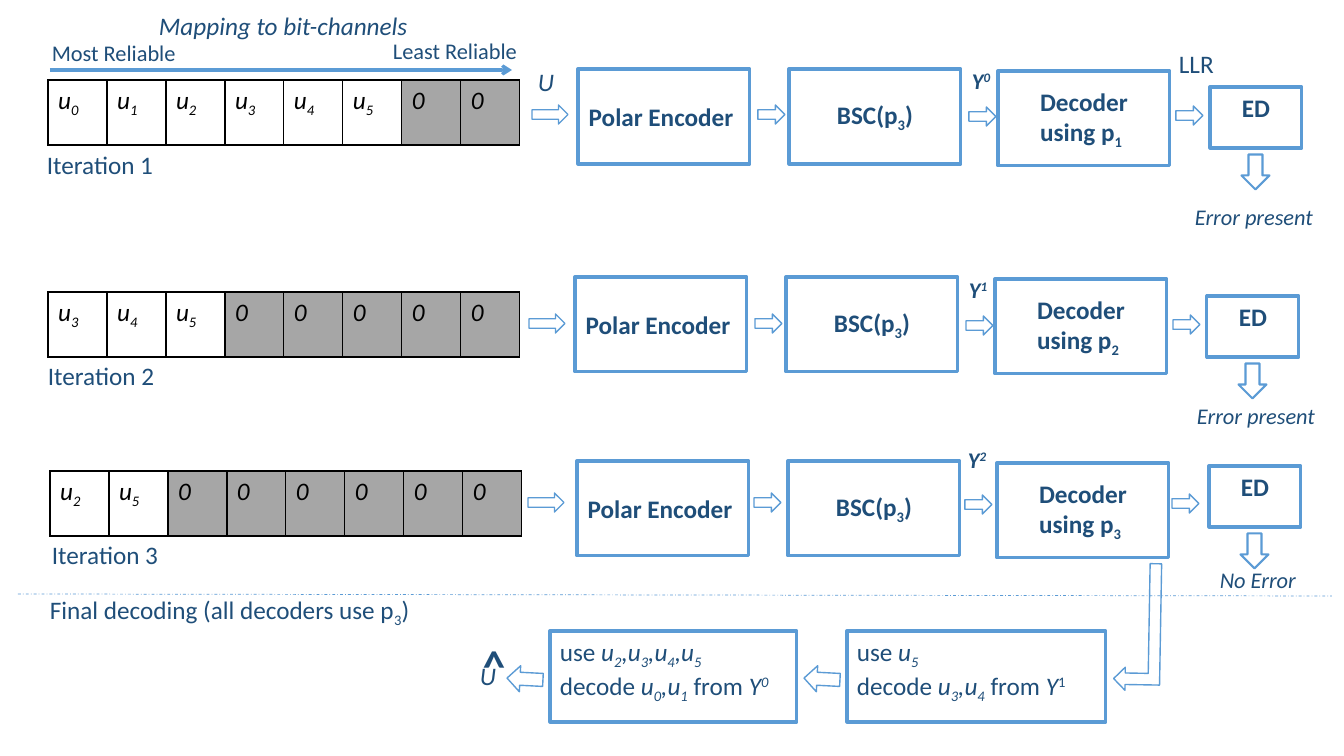
from lxml.etree import SubElement
from pptx import Presentation
from pptx.dml.color import RGBColor
from pptx.enum.dml import MSO_LINE_DASH_STYLE as DASH
from pptx.enum.shapes import MSO_CONNECTOR, MSO_SHAPE as SHAPE
from pptx.enum.text import MSO_ANCHOR as ANCHOR, PP_ALIGN as ALIGN
from pptx.oxml.ns import qn
from pptx.util import Pt

EMU_PER_PIXEL = 914400 / 100.8
COLORS = {"ink": "1F4E79", "line": "5B9BD5", "black": "000000", "white": "FFFFFF", "frozen": "A6A6A6"}
BASELINES = {"_": "-25000", "~": "30000"}


def px(length):
    """Turn pixels into EMU."""
    return round(length * EMU_PER_PIXEL)


def color(name):
    """Look up a colour by name."""
    return RGBColor.from_string(COLORS[name])


def split_runs(markup):
    """Group text by style: * toggles italic, _ lowers and ~ raises the next character."""
    runs, italic, baseline = [], False, None
    for character in markup:
        if character == "*":
            italic = not italic
        elif character in BASELINES:
            baseline = BASELINES[character]
        else:
            if runs and runs[-1][1:] == (italic, baseline):
                runs[-1] = (runs[-1][0] + character, italic, baseline)
            else:
                runs.append((character, italic, baseline))
            baseline = None
    return runs


class Diagram:
    """Draws the elements of the diagram on one slide."""

    def __init__(self, slide, font="Calibri"):
        self.slide, self.font = slide, font

    def set_text(self, frame, lines, size=18, ink="ink", bold=False, italic=False, align=ALIGN.LEFT):
        """Fill a text frame with lines of markup."""
        frame.word_wrap = True
        for index, line in enumerate(lines):
            paragraph = frame.add_paragraph() if index else frame.paragraphs[0]
            paragraph.alignment = align
            font = paragraph.font
            font.name, font.size, font.bold = self.font, Pt(size), bold
            font.color.rgb = color(ink)
            if "*" not in line:
                font.italic = italic
            for text, slanted, baseline in split_runs(line):
                run = paragraph.add_run()
                run.text = text
                if "*" in line:
                    run.font.italic = slanted
                if baseline:
                    run.font._element.set("baseline", baseline)

    def label(self, left, top, width, text, height=60, **style):
        """Add a text box."""
        box = self.slide.shapes.add_textbox(px(left), px(top), px(width), px(height))
        self.set_text(box.text_frame, [text], **style)

    def outline(self, kind, left, top, width, height, weight, rotation=0):
        """Add an unfilled preset shape."""
        shape = self.slide.shapes.add_shape(kind, px(left), px(top), px(width), px(height))
        shape.shadow.inherit = False
        shape.fill.background()
        shape.line.color.rgb = color("line")
        shape.line.width = Pt(weight)
        shape.rotation = rotation
        return shape

    def box(self, left, top, width, height, *lines, anchor=ANCHOR.MIDDLE, **style):
        """Add a rectangle with text."""
        frame = self.outline(SHAPE.RECTANGLE, left, top, width, height, 2.25).text_frame
        frame.vertical_anchor = anchor
        self.set_text(frame, lines, **style)

    def arrow(self, left, top, width=27, height=19, weight=1, rotation=0):
        """Add a block arrow."""
        self.outline(SHAPE.RIGHT_ARROW, left, top, width, height, weight, rotation)

    def line(self, x1, y1, x2, y2, weight, dash=None, head=None):
        """Add a straight line."""
        ends = map(px, (x1, y1, x2, y2))
        connector = self.slide.shapes.add_connector(MSO_CONNECTOR.STRAIGHT, *ends)
        connector.line.color.rgb = color("line")
        connector.line.width = Pt(weight)
        if dash:
            connector.line.dash_style = dash
        if head:
            SubElement(connector.line._get_or_add_ln(), qn("a:tailEnd"), type=head)
        SubElement(connector._element.spPr, qn("a:effectLst"))

    def bits(self, left, top, indices, count=8, side=59, height=65):
        """Add a one-row table of information bits padded with frozen zeros."""
        frame = self.slide.shapes.add_table(1, count, px(left), px(top), px(side * count), px(height))
        table = frame.table
        table.first_row = table.horz_banding = False
        table.rows[0].height = px(height)
        for column in range(count):
            table.columns[column].width = px(side)
            cell = table.cell(0, column)
            used = column < len(indices)
            text = f"u_{indices[column]}" if used else "0"
            self.set_text(cell.text_frame, [text], ink="black", italic=True)
            properties = cell._tc.get_or_add_tcPr()
            for edge in ("a:lnL", "a:lnR", "a:lnT", "a:lnB"):
                border = SubElement(properties, qn(edge), w=str(Pt(1)))
                fill = SubElement(border, qn("a:solidFill"))
                SubElement(fill, qn("a:srgbClr"), val=COLORS["black"])
            cell.fill.solid()
            cell.fill.fore_color.rgb = color("white" if used else "frozen")

    def chain(self, number, boxes, arrows, check):
        """Add encoder, channel, decoder and error detector at the given offsets."""
        centered = {"bold": True, "align": ALIGN.CENTER}
        x, y = boxes
        self.box(578 + x, 69 + y, 172, 95, "Polar Encoder ", **centered)
        self.box(789 + x, 69 + y, 172, 95, "BSC(p_3)", **centered)
        self.box(998 + x, 71 + y, 172, 95, "Decoder", f"using p_{number} ", **centered)
        x, y = arrows
        for left, top, width in ((532, 105, 36), (758, 105, 27), (969, 107, 27), (1176, 106, 27)):
            self.arrow(left + x, top + y, width)
        self.label(962 + x, 62 + check[1], 54, f"Y~{number - 1}", 55, size=16, bold=True, italic=True)
        x, y = check
        self.box(1210 + x, 87 + y, 92, 61, "ED", anchor=ANCHOR.TOP, **centered)
        self.arrow(1238 + x, 158 + y, 35, 28, 1.5, 90)


presentation = Presentation()
presentation.slide_width, presentation.slide_height = px(1344), px(756)
diagram = Diagram(presentation.slides.add_slide(presentation.slide_layouts[6]))

ITERATIONS = (
    ((48, 80), (0, 1, 2, 3, 4, 5), (37, 144), ((0, 0), (0, 0), (0, 0)), (1185, 198, "Error present ")),
    ((48, 292), (3, 4, 5), (38, 355), ((-3, 208), (-3, 209), (-3, 209)), (1187, 397, "Error present ")),
    ((50, 471), (2, 5), (42, 534), ((-1, 392), (-4, 388), (-1, 379)), (1210, 561, "No Error ")),
)
for number, (table, indices, caption, offsets, verdict) in enumerate(ITERATIONS, 1):
    diagram.bits(*table, indices)
    diagram.label(*caption, 148, f"Iteration {number}")
    diagram.chain(number, *offsets)
    left, top, text = verdict
    diagram.label(left, top, 1340 - left, text, 55, size=16, italic=True)

diagram.label(149, 5, 275, "Mapping to bit-channels", italic=True)
diagram.label(42, 34, 158, "Most Reliable", 55, size=16)
diagram.label(383, 32, 158, "Least Reliable", 55, size=16)
diagram.line(50, 70, 512, 70, 2.25, head="arrow")
diagram.label(528, 61, 54, "U", italic=True)
diagram.label(1169, 43, 80, "LLR")

diagram.line(18, 594, 1332, 596, 0.5, dash=DASH.DASH_DOT)
diagram.label(40, 589, 444, "Final decoding (all decoders use p_3)")
diagram.box(847, 631, 259, 91, "use *u_5 *", "decode *u_3,u_4* from *Y*~1 ", anchor=ANCHOR.TOP)
diagram.box(550, 631, 247, 91, "use* u_2,u_3,u_4,u_5 *", "decode *u_0,u_1* from *Y~0*", anchor=ANCHOR.TOP)
feedback = diagram.outline(SHAPE.BENT_UP_ARROW, 1074, 604, 127, 46, 1, 271)
feedback._element.spPr.find(qn("a:xfrm")).set("flipH", "1")
for left in (804, 507):
    diagram.arrow(left, 666, 36, 26, rotation=183)
diagram.label(470, 655, 54, "U", italic=True)
diagram.label(473, 633, 41, "^", 101, size=32, bold=True)

presentation.save("out.pptx")
